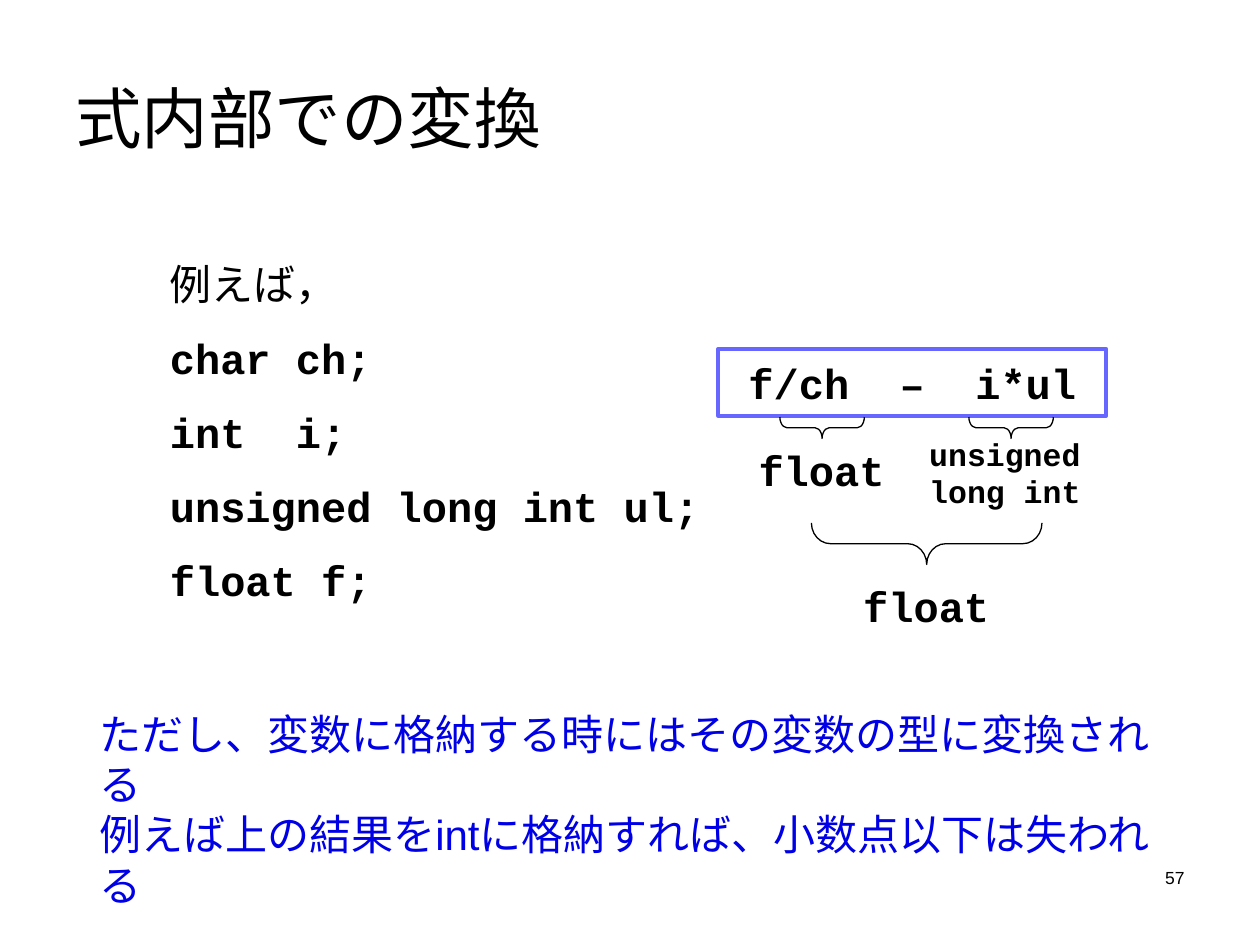
from pptx import Presentation
from pptx import util as u
from pptx.dml.color import RGBColor
from pptx.enum import shapes, text

PX = 9144  # EMU per px, 100 px to the inch
BLACK = RGBColor(0x00, 0x00, 0x00)
BLUE = RGBColor(0x00, 0x00, 0xE6)
FRAME = RGBColor(0x67, 0x67, 0xFF)
SANS, MONO = "Arial", "Courier New"
LEFT, CENTER, RIGHT = (text.PP_ALIGN.LEFT, text.PP_ALIGN.CENTER,
                       text.PP_ALIGN.RIGHT)


def px(*lengths):
    return [u.Emu(n * PX) for n in lengths]


def write(sp, lines, size, font, color=BLACK, bold=False, align=LEFT,
          gap=0, anchor=text.MSO_ANCHOR.TOP):
    tf = sp.text_frame
    tf.word_wrap = True
    tf.vertical_anchor = anchor
    for i, line in enumerate(lines):
        p = tf.paragraphs[0] if i == 0 else tf.add_paragraph()
        p.text = line
        p.alignment = align
        if i and gap:
            p.space_before = u.Pt(gap)
        p.font.size = u.Pt(size)
        p.font.name = font
        p.font.bold = bold
        p.font.color.rgb = color
    return tf


def add_text(s, box, lines, size, font, **style):
    return write(s.shapes.add_textbox(*px(*box)), lines, size, font, **style)


def add_outline(s, kind, box, color, width):
    sp = s.shapes.add_shape(kind, *px(*box))
    sp.shadow.inherit = False
    sp.fill.background()
    sp.line.color.rgb = color
    sp.line.width = u.Pt(width)
    return sp


def add_brace(s, box, curl):
    """Left brace turned so that its point faces down."""
    sp = add_outline(s, shapes.MSO_SHAPE.LEFT_BRACE, box, BLACK, 0.75)
    sp.rotation = 270
    sp.adjustments[0] = curl
    sp.adjustments[1] = 0.5


def add_type(s, box, name, size=24):
    add_text(s, box, [name], size, MONO, bold=True, align=CENTER)


def main():
    prs = Presentation()
    prs.slide_width, prs.slide_height = px(1000, 750)
    s = prs.slides.add_slide(prs.slide_layouts[6])

    # Title and page number
    add_text(s, (50, 30, 900, 125), ["式内部での変換"], 38, SANS,
             anchor=text.MSO_ANCHOR.MIDDLE)
    add_text(s, (717, 683, 233, 50), ["57"], 10, SANS, align=RIGHT)

    # Declarations
    tf = add_text(s, (125, 200, 447, 290),
                  ["例えば，", "char ch;", "int  i;",
                   "unsigned long int ul;", "float f;"],
                  24, MONO, bold=True, gap=13.5)
    tf.paragraphs[0].font.bold = False

    # Expression
    sp = add_outline(s, shapes.MSO_SHAPE.RECTANGLE, (570, 277, 308, 53),
                     FRAME, 2.25)
    write(sp, ["f/ch  –  i*ul"], 24, MONO, bold=True, align=CENTER,
          anchor=text.MSO_ANCHOR.MIDDLE)

    # Type of each operand, then of the whole
    for left in (644, 794):
        add_brace(s, (left, 306, 17, 67), 0.33)
    add_brace(s, (719, 340, 33, 183), 0.46)
    add_type(s, (581, 348, 142, 50), "float")
    add_type(s, (714, 340, 167, 70), "unsigned long int", 18)
    add_type(s, (664, 456, 142, 50), "float")

    # Remark
    add_text(s, (69, 557, 870, 91),
             ["ただし、変数に格納する時にはその変数の型に変換される",
              "例えば上の結果をintに格納すれば、小数点以下は失われる"],
             24, SANS, color=BLUE)

    prs.save("out.pptx")


if __name__ == "__main__":
    main()
